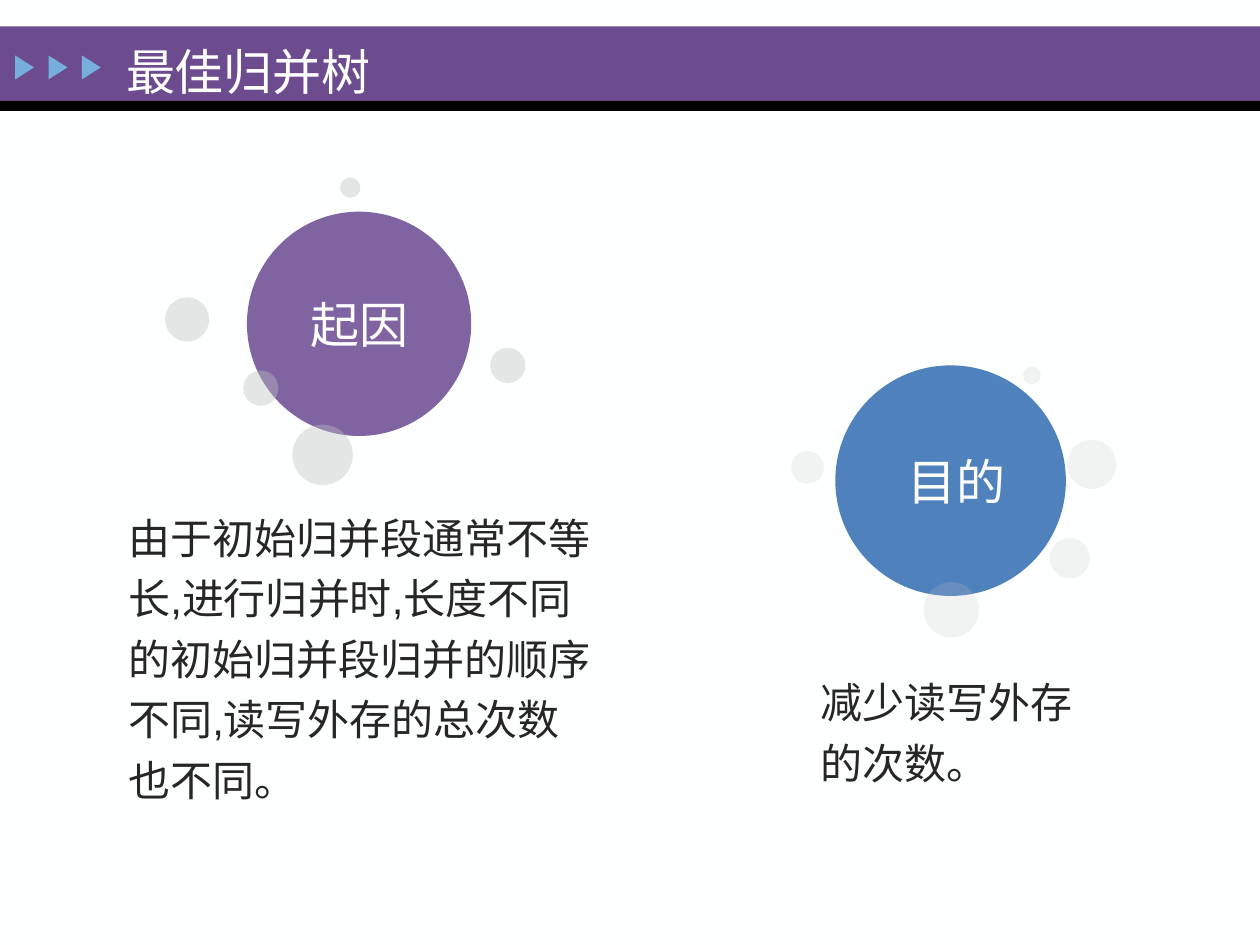
import pptx
import pptx.util
import pptx.dml.color
import pptx.enum.shapes
import pptx.enum.text
import pptx.oxml
import pptx.oxml.ns

RGBColor = pptx.dml.color.RGBColor
SHAPES = pptx.enum.shapes.MSO_SHAPE
ALIGN = pptx.enum.text.PP_ALIGN
ANCHOR = pptx.enum.text.MSO_ANCHOR

PAPER = RGBColor(0xFE, 0xFF, 0xFF)
WHITE = RGBColor(0xFF, 0xFF, 0xFF)
BLACK = RGBColor(0x00, 0x00, 0x00)
BAND = RGBColor(0x6C, 0x4C, 0x8F)
ARROW = RGBColor(0x76, 0xAE, 0xDD)
BLUE = RGBColor(0x4F, 0x81, 0xBD)
PURPLE = RGBColor(0x80, 0x64, 0xA2)
GREY = RGBColor(0xBF, 0xBF, 0xBF)
INK = RGBColor(0x26, 0x26, 0x26)

WIDTH, HEIGHT = 10, 7.5
BAND_TOP, BAND_HEIGHT, RULE_HEIGHT = 0.21, 0.59, 0.08

# Bubbles around each circle: left, top, diameter
CAUSE_BUBBLES = [(3.89, 2.76, 0.28), (1.93, 2.94, 0.28), (2.32, 3.37, 0.48),
                 (2.7, 1.41, 0.16), (1.31, 2.36, 0.35)]
GOAL_BUBBLES = [(6.28, 3.58, 0.26), (7.33, 4.62, 0.44), (8.12, 2.91, 0.14),
                (8.33, 4.27, 0.32), (8.47, 3.49, 0.39)]


def inches(*lengths):
    return [pptx.util.Inches(length) for length in lengths]


def add_filled(page, kind, place, color, opacity=100):
    shape = page.shapes.add_shape(kind, *inches(*place))
    shape.shadow.inherit = False
    shape.line.fill.background()
    shape.fill.solid()
    shape.fill.fore_color.rgb = color
    if opacity < 100:
        tint = shape.fill._xPr.find(".//" + pptx.oxml.ns.qn("a:srgbClr"))
        alpha = pptx.oxml.parse_xml(
            f'<a:alpha {pptx.oxml.ns.nsdecls("a")} val="{opacity * 1000}"/>')
        tint.append(alpha)
    return shape


def write(box, text, size, color, font="Arial", align=ALIGN.LEFT,
          anchor=ANCHOR.MIDDLE, spacing=1.0, wrap=True):
    frame = box.text_frame
    frame.text = text
    frame.word_wrap = wrap
    frame.auto_size = pptx.enum.text.MSO_AUTO_SIZE.NONE
    frame.vertical_anchor = anchor
    para = frame.paragraphs[0]
    para.alignment = align
    para.line_spacing = spacing
    for span in para.runs:
        span.font.size = pptx.util.Pt(size)
        span.font.name = font
        span.font.color.rgb = color


def add_header(page, text):
    add_filled(page, SHAPES.RECTANGLE, (0, BAND_TOP, WIDTH, BAND_HEIGHT), BAND)
    add_filled(page, SHAPES.RECTANGLE,
               (0, BAND_TOP + BAND_HEIGHT, WIDTH, RULE_HEIGHT), BLACK)
    for column in range(3):
        left = 0.1 + column * 0.265
        arrow = add_filled(page, SHAPES.ISOSCELES_TRIANGLE,
                           (left, 0.46, 0.19, 0.15), ARROW)
        arrow.rotation = 90

    # The title goes in front of the band
    title = page.shapes.title
    title.element.getparent().append(title.element)
    title.left, title.top, title.width, title.height = inches(0.9, 0.16, 5.31, 0.58)
    write(title, text, 28, PAPER, font="Times New Roman",
          anchor=ANCHOR.TOP, spacing=1.25)


def add_topic(page, label, circle, color, bubbles, opacity, text, place, indent=0):
    left, top, size = circle
    disc = add_filled(page, SHAPES.OVAL, (left, top, size, size), color)
    frame = disc.text_frame
    frame.margin_left = pptx.util.Inches(indent)
    frame.margin_right = frame.margin_top = frame.margin_bottom = 0
    write(disc, label, 28, WHITE, align=ALIGN.CENTER, wrap=False)

    for left, top, size in bubbles:
        add_filled(page, SHAPES.OVAL, (left, top, size, size), GREY, opacity)

    box = page.shapes.add_textbox(*inches(*place))
    write(box, text, 24, INK, spacing=1.2)


def main():
    deck = pptx.Presentation()
    deck.slide_width, deck.slide_height = inches(WIDTH, HEIGHT)
    page = deck.slides.add_slide(deck.slide_layouts.get_by_name("Title Only"))
    page.background.fill.solid()
    page.background.fill.fore_color.rgb = PAPER

    add_header(page, "最佳归并树")
    add_topic(page, "目的", (6.63, 2.9, 1.83), BLUE, GOAL_BUBBLES, 20,
              "减少读写外存的次数。", (6.41, 5.23, 2.45, 1.08), indent=0.09)
    add_topic(page, "起因", (1.96, 1.68, 1.78), PURPLE, CAUSE_BUBBLES, 40,
              "由于初始归并段通常不等长,进行归并时,长度不同的初始归并段归并的顺序不同,"
              "读写外存的总次数也不同。", (0.92, 3.97, 3.88, 2.43))
    deck.save("out.pptx")


if __name__ == "__main__":
    main()
